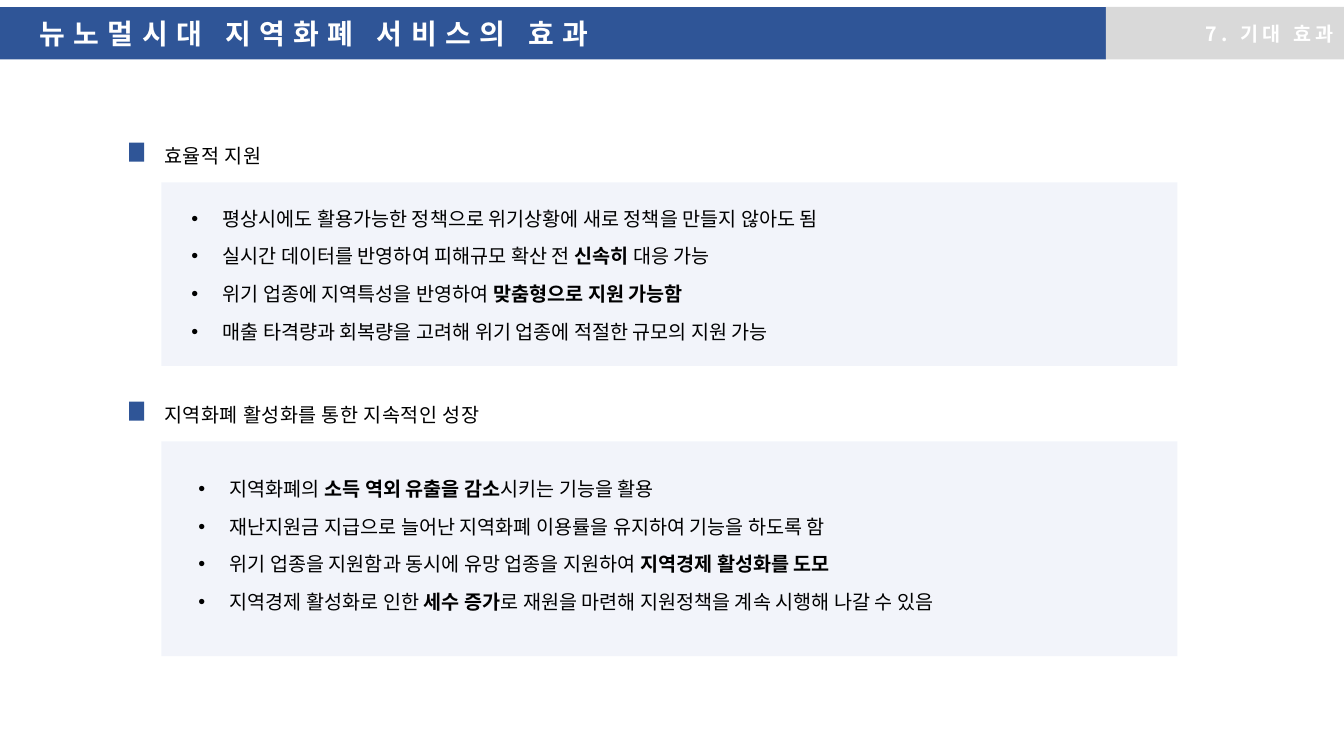
"""Build the slide on the expected effects of the local currency service."""
from lxml.etree import SubElement
from pptx import Presentation
from pptx.dml.color import RGBColor
from pptx.enum.shapes import MSO_SHAPE
from pptx.enum.text import MSO_ANCHOR, MSO_AUTO_SIZE, PP_ALIGN
from pptx.oxml.ns import qn
from pptx.util import Inches, Pt

FONT = "Noto Sans CJK KR"
COLORS = {"blue": "2F5597", "gray": "D9D9D9", "panel": "DAE2F3",
          "white": "FFFFFF", "black": "000000"}

prs = Presentation()
prs.slide_width, prs.slide_height = Inches(13.33), Inches(7.5)
COL, ROW = prs.slide_width / 100, prs.slide_height / 100
slide = prs.slides.add_slide(prs.slide_layouts[5])


def add_box(x, y, w, h, fill=None, sp=None):
    """Place a box on the 100 by 100 grid, filled or as plain text."""
    at = [int(n) for n in (x * COL, y * ROW, w * COL, h * ROW)]
    if sp is not None:
        sp.left, sp.top, sp.width, sp.height = at
    elif fill:
        sp = slide.shapes.add_shape(MSO_SHAPE.RECTANGLE, *at)
        sp.shadow.inherit = False
    else:
        sp = slide.shapes.add_textbox(*at)
    if fill:
        sp.fill.solid()
        sp.fill.fore_color.rgb = RGBColor.from_string(COLORS[fill])
        sp.line.fill.background()
    sp.text_frame.word_wrap = True
    sp.text_frame.auto_size = MSO_AUTO_SIZE.NONE
    return sp


def add_run(p, text, color="black", size=14, bold=False, spacing=0):
    """Append one formatted run; spacing is in points."""
    r = p.add_run()
    r.text = text
    r.font.size, r.font.bold, r.font.name = Pt(size), bold, FONT
    r.font.color.rgb = RGBColor.from_string(COLORS[color])
    rPr = r.font._element
    rPr.set("spc", str(int(spacing * 100)))
    SubElement(rPr, qn("a:ea"), typeface=FONT)


BAND_Y, BAND_H, SPLIT = 0.93, 6.93, 82.28
title = add_box(0, BAND_Y, SPLIT, BAND_H, "blue", slide.shapes.title)
tag = add_box(SPLIT, BAND_Y, 100 - SPLIT, BAND_H, "gray")
title.text_frame.margin_left = int(2.93 * COL)
for sp, text, size, spacing, align in (
        (title, "뉴노멀시대 지역화폐 서비스의 효과", 20, 6, PP_ALIGN.LEFT),
        (tag, "7. 기대 효과", 14, 3, PP_ALIGN.RIGHT)):
    tf = sp.text_frame
    tf.vertical_anchor = MSO_ANCHOR.MIDDLE
    p = tf.paragraphs[0]
    p.alignment = align
    add_run(p, text, "white", size, True, spacing)

SECTIONS = [
    ("효율적 지원", 24.13, 24.27, (13.2, 26.67, 65.33, 19.47), [
        ["평상시에도 활용가능한 정책으로 위기상황에 새로 정책을 만들지 않아도 됨"],
        ["실시간 데이터를 반영하여 피해규모 확산 전 ", "신속히", " 대응 가능"],
        ["위기 업종에 지역특성을 반영하여 ", "맞춤형으로 지원 가능함"],
        ["매출 타격량과 회복량을 고려해 위기 업종에 적절한 규모의 지원 가능"],
    ]),
    ("지역화폐 활성화를 통한 지속적인 성장", 58.4, 28.4, (13.73, 62.4, 68.03, 25.47), [
        ["지역화폐의 ", "소득 역외 유출을 감소", "시키는 기능을 활용"],
        ["재난지원금 지급으로 늘어난 지역화폐 이용률을 유지하여 기능을 하도록 함"],
        ["위기 업종을 지원함과 동시에 유망 업종을 지원하여 ", "지역경제 활성화를 도모"],
        ["지역경제 활성화로 인한 ", "세수 증가",
         "로 재원을 마련해 지원정책을 계속 시행해 나갈 수 있음"],
    ]),
]

for heading, top, height, text_at, bullets in SECTIONS:
    panel = add_box(12, top, 75.6, height, "panel")
    color = panel.fill._xPr.find(qn("a:solidFill"))[0]
    SubElement(color, qn("a:alpha"), val="35000")

    add_box(9.6, top - 5.27, 1.13, 2.53, "blue")
    p = add_box(11.48, top - 7.33, 74.33, 5.6).text_frame.paragraphs[0]
    p.line_spacing = 1.5
    add_run(p, heading, spacing=0.3)

    tf = add_box(*text_at).text_frame
    for i, parts in enumerate(bullets):
        p = tf.add_paragraph() if i else tf.paragraphs[0]
        pPr = p._p.get_or_add_pPr()
        pPr.set("marL", str(Inches(0.35)))
        pPr.set("indent", str(Inches(-0.31)))
        p.space_before = Pt(10.2 if i else 0)
        SubElement(pPr, qn("a:buFont"), typeface="Arial")
        SubElement(pPr, qn("a:buChar"), char="•")
        for j, text in enumerate(parts):
            add_run(p, text, bold=j == 1)

prs.save("out.pptx")
